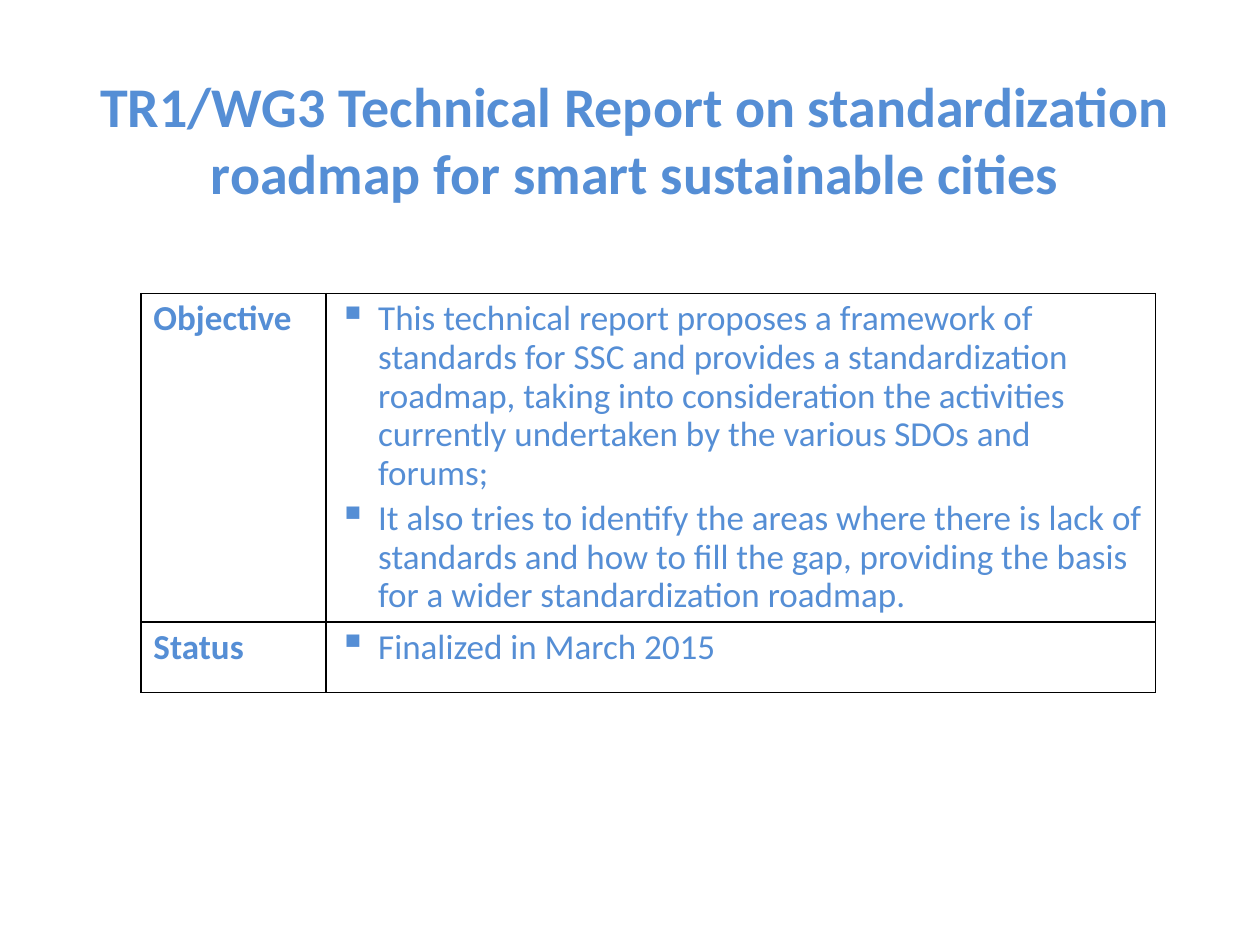
from lxml import etree
from pptx import Presentation
from pptx.dml.color import RGBColor
from pptx.enum.text import MSO_ANCHOR, MSO_AUTO_SIZE, PP_ALIGN
from pptx.oxml.ns import qn
from pptx.util import Cm, Pt

BLUE = RGBColor(0x55, 0x8E, 0xD5)
BLACK = RGBColor(0, 0, 0)
FONT = "Calibri"
CENTER = PP_ALIGN.CENTER
MIDDLE = MSO_ANCHOR.MIDDLE
NO_AUTOFIT = MSO_AUTO_SIZE.NONE
TITLE_ONLY = 5


def add_text(p, text, size, bold):
    r = p.add_run()
    r.text = text
    r.font.name = FONT
    r.font.size = Pt(size)
    r.font.bold = bold
    r.font.color.rgb = BLUE


def add_bullet(p):
    pPr = p._p.get_or_add_pPr()
    pPr.set("marL", str(Cm(0.8)))
    pPr.set("indent", str(-Cm(0.8)))
    color = etree.SubElement(pPr, qn("a:buClr"))
    etree.SubElement(color, qn("a:srgbClr"), val=str(BLUE))
    etree.SubElement(pPr, qn("a:buSzPct"), val="110000")
    etree.SubElement(pPr, qn("a:buChar"), char="▪")


prs = Presentation()
prs.slide_width, prs.slide_height = Cm(25.4), Cm(19.05)
s = prs.slides.add_slide(prs.slide_layouts[TITLE_ONLY])

title = s.shapes.title
title.left, title.top, title.width, title.height = Cm(1), Cm(1.3), Cm(23.6), Cm(3)
tf = title.text_frame
tf.word_wrap = True
tf.auto_size = NO_AUTOFIT
tf.vertical_anchor = MIDDLE
p = tf.paragraphs[0]
p.alignment = CENTER
add_text(p, "TR1/WG3 Technical Report on standardization roadmap for smart sustainable cities", 32, True)

rows = [
    ("Objective", [
        "This technical report proposes a framework of standards for SSC and provides "
        "a standardization roadmap, taking into consideration the activities currently "
        "undertaken by the various SDOs and forums;",
        "It also tries to identify the areas where there is lack of standards and how to "
        "fill the gap, providing the basis for a wider standardization roadmap.",
    ]),
    ("Status", ["Finalized in March 2015"]),
]
col_widths = [Cm(3.73), Cm(16.72)]
row_heights = [Cm(6.5), Cm(1.42)]

table = s.shapes.add_table(len(rows), 2, Cm(2.84), Cm(5.92),
                           sum(col_widths), sum(row_heights)).table
table.first_row = False
table.horz_banding = False
for column, width in zip(table.columns, col_widths):
    column.width = width

for i, (label, points) in enumerate(rows):
    table.rows[i].height = row_heights[i]
    for j, texts in enumerate([[label], points]):
        cell = table.cell(i, j)
        tf = cell.text_frame
        for k, text in enumerate(texts):
            p = tf.paragraphs[0] if k == 0 else tf.add_paragraph()
            p.line_spacing = 0.9
            if k > 0:
                p.space_before = Pt(4)
            if j == 1:
                add_bullet(p)
            add_text(p, text, 20, j == 0)

        tcPr = cell._tc.get_or_add_tcPr()
        for side in ("lnL", "lnR", "lnT", "lnB"):
            ln = etree.SubElement(tcPr, qn(f"a:{side}"), w=str(Pt(1)))
            fill = etree.SubElement(ln, qn("a:solidFill"))
            etree.SubElement(fill, qn("a:srgbClr"), val=str(BLACK))
        cell.fill.background()

prs.save("out.pptx")
